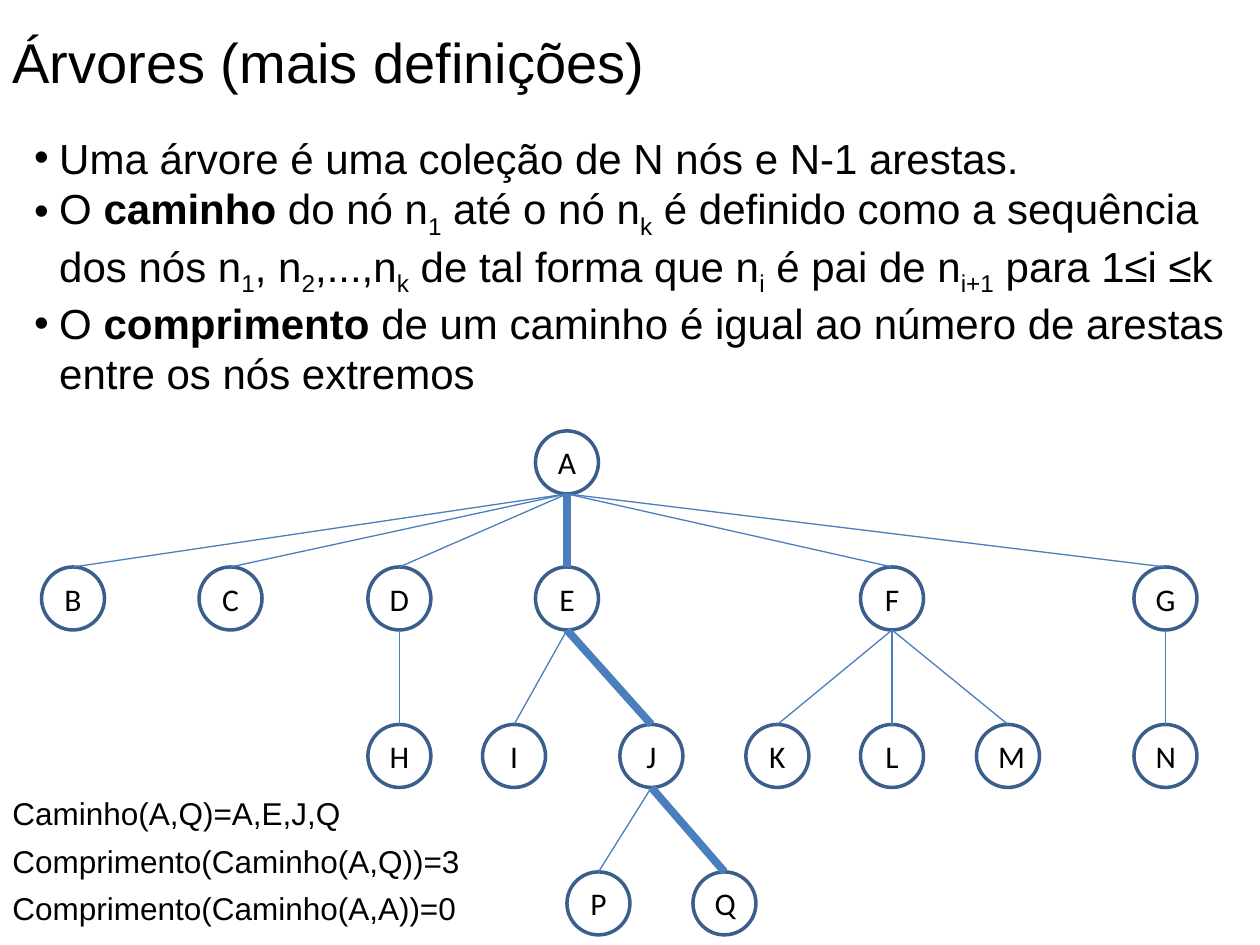
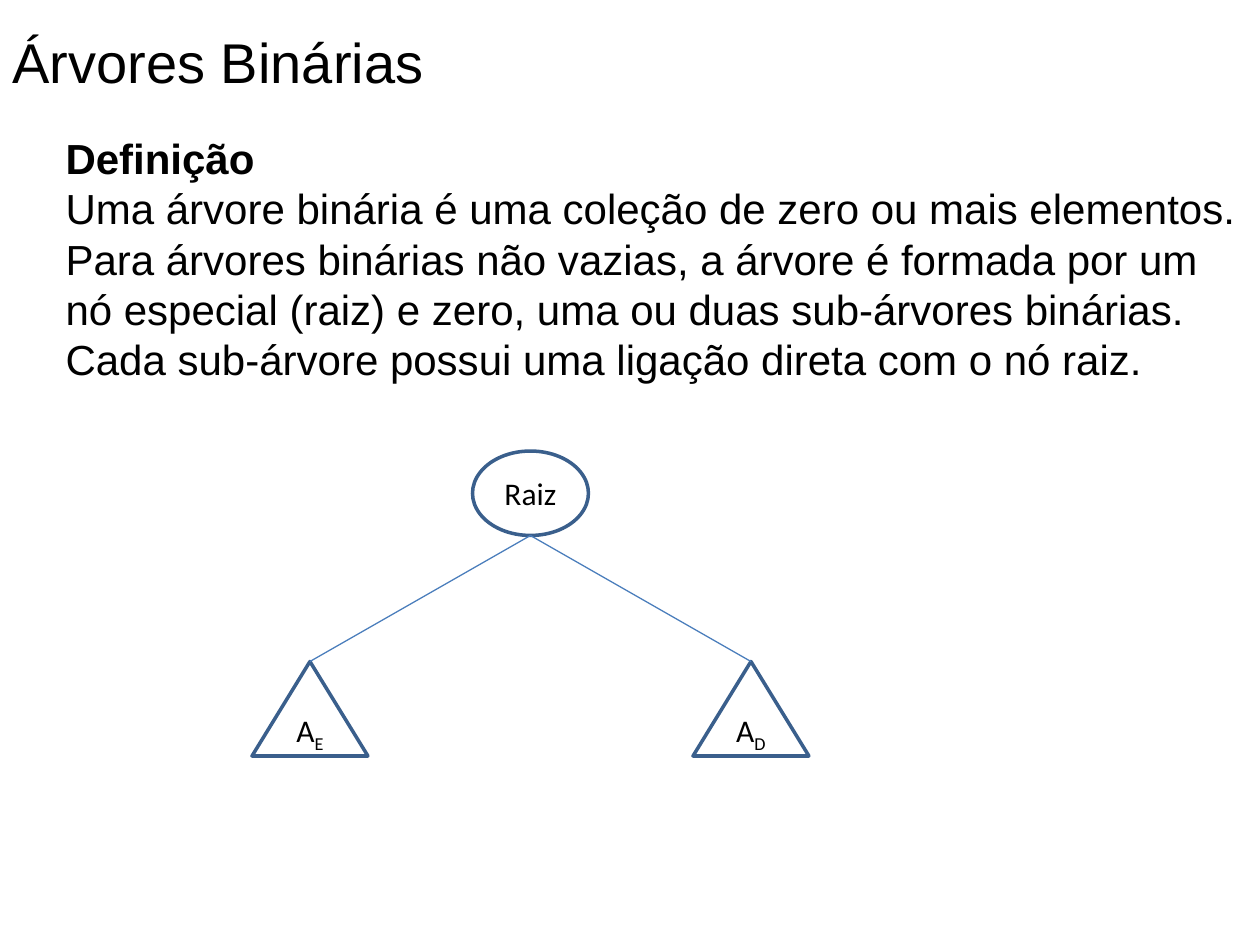
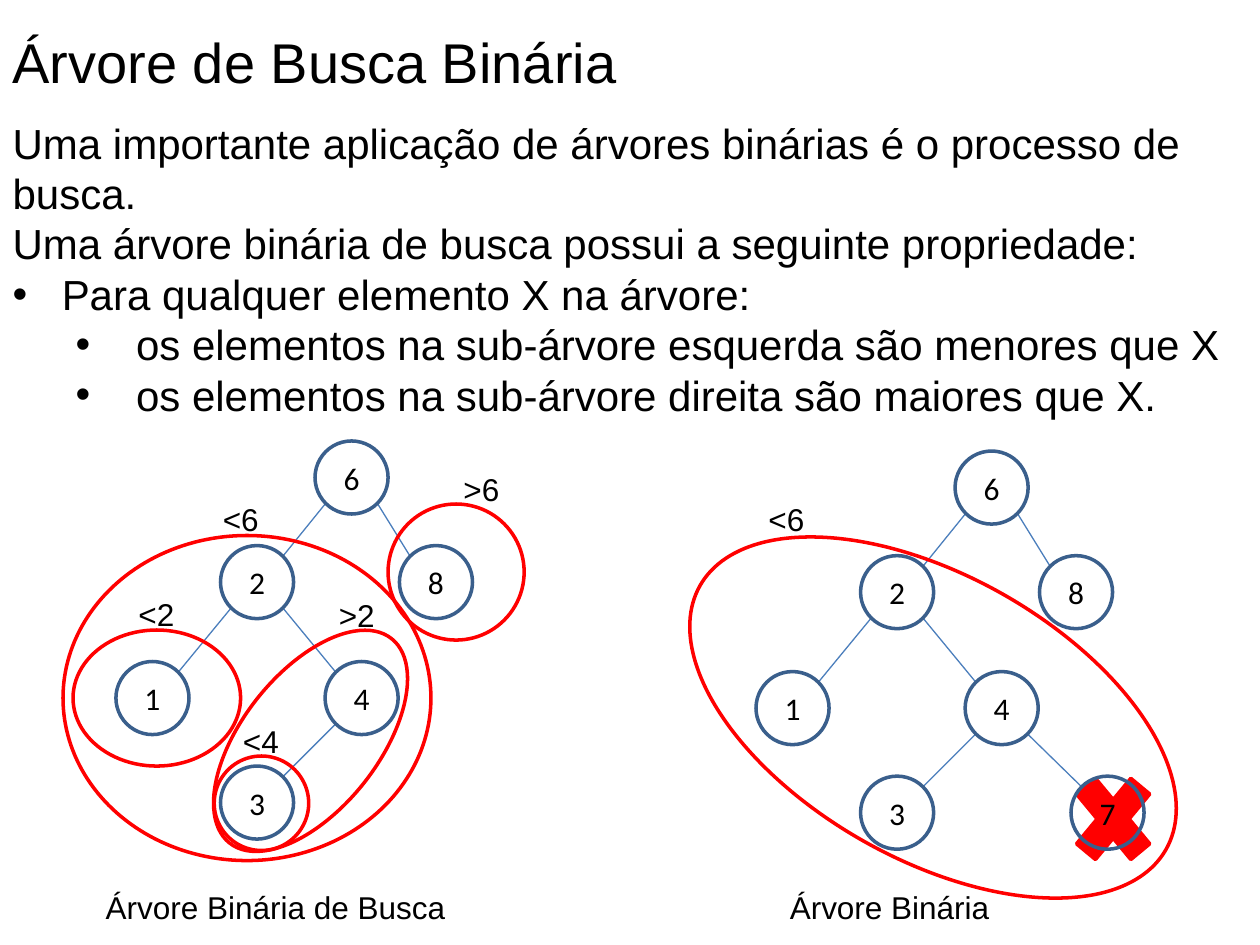
"""Build three slides about trees, binary trees and binary search trees."""
import dataclasses
import math
import typing

import lxml.etree
import pptx
import pptx.dml.color
import pptx.enum.shapes
import pptx.enum.text
import pptx.oxml.ns
import pptx.presentation
import pptx.slide
import pptx.util

Inches = pptx.util.Inches
Pt = pptx.util.Pt
SHAPE = pptx.enum.shapes.MSO_SHAPE
ALIGN = pptx.enum.text.PP_ALIGN
ANCHOR = pptx.enum.text.MSO_ANCHOR
qn = pptx.oxml.ns.qn

COLORS = {"text": "000000", "node": "3A5F8C", "edge": "4B7EBC", "mark": "FF0000"}
THIN, THICK, OUTLINE = 0.75, 4.5, 2


class Run(typing.NamedTuple):
    text: str
    bold: bool = False
    sub: bool = False


class Box(typing.NamedTuple):
    x: float
    y: float
    w: float
    h: float


@dataclasses.dataclass
class Para:
    runs: list[Run]
    bullet: bool = False
    level: int = 0
    margin: float = 0
    hanging: float = 0


@dataclasses.dataclass
class Node:
    runs: list[Run]
    box: Box
    kind: SHAPE = SHAPE.OVAL

    @property
    def top(self) -> tuple[float, float]:
        return self.box.x + self.box.w / 2, self.box.y

    @property
    def bottom(self) -> tuple[float, float]:
        return self.box.x + self.box.w / 2, self.box.y + self.box.h

    def corner(self, side: int, down: int) -> tuple[float, float]:
        reach = math.sqrt(0.5) / 2
        b = self.box
        return b.x + b.w * (0.5 + side * reach), b.y + b.h * (0.5 + down * reach)


class Ring(typing.NamedTuple):
    box: Box
    label: str
    label_x: float
    label_y: float
    rotation: float = 0


def rgb(name: str) -> pptx.dml.color.RGBColor:
    return pptx.dml.color.RGBColor.from_string(COLORS[name])


def plain(text: str) -> list[Run]:
    return [Run(text)]


def add_runs(p, runs: list[Run], size: float, font: str) -> None:
    for run in runs:
        r = p.add_run()
        r.text = run.text
        r.font.size, r.font.name, r.font.bold = Pt(size), font, run.bold
        r.font.color.rgb = rgb("text")
        if run.sub:
            r._r.get_or_add_rPr().set("baseline", "-25000")


def format_paragraph(p, para: Para) -> None:
    p.level, p.alignment = para.level, ALIGN.LEFT
    p.space_before, p.line_spacing = Pt(0), 1.0
    pPr = p._p.get_or_add_pPr()
    pPr.set("marL", str(Inches(para.margin)))
    pPr.set("indent", str(Inches(-para.hanging)))
    if para.bullet:
        lxml.etree.SubElement(pPr, qn("a:buFont")).set("typeface", "Arial")
        lxml.etree.SubElement(pPr, qn("a:buChar")).set("char", "•")
    else:
        lxml.etree.SubElement(pPr, qn("a:buNone"))


def fill_text(sp, box: Box, paras: list[Para], size: float, wrap: bool) -> None:
    sp.left, sp.top, sp.width, sp.height = map(Inches, box)
    tf = sp.text_frame
    tf.word_wrap = wrap
    tf.auto_size = pptx.enum.text.MSO_AUTO_SIZE.NONE
    tf.vertical_anchor = ANCHOR.TOP
    for i, para in enumerate(paras):
        p = tf.add_paragraph() if i else tf.paragraphs[0]
        format_paragraph(p, para)
        add_runs(p, para.runs, size, "Arial")


def add_slide(prs: pptx.presentation.Presentation, title: str, title_width: float,
              body_box: Box, paras: list[Para]) -> pptx.slide.Slide:
    s = prs.slides.add_slide(prs.slide_layouts[1])
    fill_text(s.shapes.title, Box(0, 0.17, title_width, 0.64),
              [Para(plain(title))], 32, False)
    fill_text(s.placeholders[1], body_box, paras, 24, True)
    return s


def add_label(s: pptx.slide.Slide, text: str, x: float, y: float, w: float) -> None:
    box = Box(x, y, w, 0.4)
    fill_text(s.shapes.add_textbox(*map(Inches, box)), box, [Para(plain(text))], 18, False)


def add_outline(s: pptx.slide.Slide, kind: SHAPE, box: Box, color: str):
    sp = s.shapes.add_shape(kind, *map(Inches, box))
    sp.shadow.inherit = False
    sp.fill.background()
    sp.line.color.rgb, sp.line.width = rgb(color), Pt(OUTLINE)
    return sp


def add_node(s: pptx.slide.Slide, node: Node) -> None:
    tf = add_outline(s, node.kind, node.box, "node").text_frame
    tf.vertical_anchor = ANCHOR.MIDDLE
    p = tf.paragraphs[0]
    p.alignment = ALIGN.CENTER
    add_runs(p, node.runs, 18, "Calibri")


def add_edge(s: pptx.slide.Slide, start: tuple[float, float], end: tuple[float, float],
             width: float = THIN) -> None:
    c = s.shapes.add_connector(pptx.enum.shapes.MSO_CONNECTOR.STRAIGHT,
                               *map(Inches, (*start, *end)))
    c.line.color.rgb, c.line.width = rgb("edge"), Pt(width)
    lxml.etree.SubElement(c._element.spPr, qn("a:effectLst"))


def add_ring(s: pptx.slide.Slide, ring: Ring) -> None:
    add_outline(s, SHAPE.OVAL, ring.box, "mark").rotation = ring.rotation
    add_label(s, ring.label, ring.label_x, ring.label_y, 0.49)


def build_definitions(prs: pptx.presentation.Presentation) -> None:
    texts = [
        plain("Uma árvore é uma coleção de N nós e N-1 arestas."),
        [Run("O "), Run("caminho", bold=True), Run(" do nó n"), Run("1", sub=True),
         Run(" até o nó n"), Run("k", sub=True),
         Run(" é definido como a sequência dos nós n"), Run("1", sub=True),
         Run(", n"), Run("2", sub=True), Run(",...,n"), Run("k", sub=True),
         Run(" de tal forma que n"), Run("i", sub=True), Run(" é pai de n"),
         Run("i+1", sub=True), Run(" para 1≤i ≤k")],
        [Run("O "), Run("comprimento", bold=True),
         Run(" de um caminho é igual ao número de arestas entre os nós extremos")],
    ]
    s = add_slide(prs, "Árvores (mais definições)", 5.26, Box(0.17, 1, 9.83, 2.12),
                  [Para(runs, bullet=True, margin=0.2, hanging=0.2) for runs in texts])
    levels = {
        3.42: {"A": 4.25},
        4.5: {"B": 0.33, "C": 1.58, "D": 2.92, "E": 4.25, "F": 6.83, "G": 9},
        5.75: {"H": 2.92, "I": 3.83, "J": 4.92, "K": 5.92, "L": 6.83, "M": 7.75, "N": 9},
        6.92: {"P": 4.5, "Q": 5.5},
    }
    nodes = {name: Node(plain(name), Box(x, y, 0.5, 0.5))
             for y, row in levels.items() for name, x in row.items()}
    children = {"A": "BCDEFG", "D": "H", "E": "IJ", "F": "KLM", "G": "N", "J": "PQ"}
    for node in nodes.values():
        add_node(s, node)
    for parent, names in children.items():
        for name in names:
            add_edge(s, nodes[name].top, nodes[parent].bottom)
    route = "AEJQ"
    for parent, child in zip(route, route[1:]):
        add_edge(s, nodes[child].top, nodes[parent].bottom, THICK)
    facts = [("Caminho(A,Q)=A,E,J,Q", 2.83), ("Comprimento(Caminho(A,Q))=3", 3.78),
             ("Comprimento(Caminho(A,A))=0", 3.73)]
    for i, (text, width) in enumerate(facts):
        add_label(s, text, 0, 6.25 + 0.38 * i, width)


def build_binary(prs: pptx.presentation.Presentation) -> None:
    definition = (
        "Uma árvore binária é uma coleção de zero ou mais elementos. Para árvores "
        "binárias não vazias, a árvore é formada por um nó especial (raiz) e zero, uma "
        "ou duas sub-árvores binárias. Cada sub-árvore possui uma ligação direta com o "
        "nó raiz.")
    s = add_slide(prs, "Árvores Binárias", 3.49, Box(0.42, 1, 9.58, 2.12),
                  [Para([Run("Definição", bold=True)]), Para(plain(definition))])
    root = Node(plain("Raiz"), Box(3.75, 3.58, 0.92, 0.67))
    add_node(s, root)
    for side, x in (("E", 2), ("D", 5.5)):
        subtree = Node([Run("A"), Run(side, sub=True)], Box(x, 5.25, 0.92, 0.75),
                       SHAPE.ISOSCELES_TRIANGLE)
        add_node(s, subtree)
        add_edge(s, subtree.top, root.bottom)


def add_search_tree(s: pptx.slide.Slide, places: dict[str, tuple[float, float]],
                    edges: list[str], dx: float = 0, dy: float = 0) -> None:
    nodes = {name: Node(plain(name), Box(x + dx, y + dy, 0.58, 0.58))
             for name, (x, y) in places.items()}
    for parent, child in edges:
        side = 1 if places[child][0] > places[parent][0] else -1
        add_edge(s, nodes[child].corner(-side, -1), nodes[parent].corner(side, 1))
    for node in nodes.values():
        add_node(s, node)


def build_search(prs: pptx.presentation.Presentation) -> None:
    s = add_slide(prs, "Árvore de Busca Binária", 5.03, Box(0, 0.88, 9.83, 2.52), [
        Para(plain("Uma importante aplicação de árvores binárias é o processo de busca.")),
        Para(plain("Uma árvore binária de busca possui a seguinte propriedade:")),
        Para(plain("Para qualquer elemento X na árvore:"), True, 0, 0.39, 0.39),
        *(Para(plain(f"os elementos na sub-árvore {text} que X{end}"), True, 1, 0.98, 0.48)
          for text, end in (("esquerda são menores", ""), ("direita são maiores", "."))),
    ])
    cross = add_outline(s, SHAPE.MATH_MULTIPLY, Box(8.42, 6, 0.83, 1), "mark")
    cross.fill.solid()
    cross.fill.fore_color.rgb = rgb("mark")
    places = {"6": (2.5, 3.5), "8": (3.17, 4.33), "2": (1.75, 4.33),
              "4": (2.58, 5.25), "3": (1.75, 6.08), "1": (0.92, 5.25)}
    edges = ["68", "62", "24", "43", "21"]
    add_search_tree(s, places, edges)
    add_search_tree(s, {**places, "7": (3.42, 6.08)}, edges + ["47"], 5.08, 0.08)
    add_label(s, "Árvore Binária de Busca", 0.74, 7, 2.92)
    add_label(s, "Árvore Binária", 6.17, 7, 1.8)
    rings = [
        Ring(Box(0.5, 4.25, 2.92, 2.58), "<6", 1.67, 3.92),
        Ring(Box(3.08, 4, 1.08, 1.08), ">6", 3.58, 3.68),
        Ring(Box(0.58, 5, 1.33, 1.08), "<2", 1, 4.67),
        Ring(Box(1.43, 5.34, 2.07, 1.08), ">2", 2.59, 4.68, 308.4),
        Ring(Box(1.7, 6, 0.75, 0.75), "<4", 1.83, 5.68),
        Ring(Box(5.28, 4.57, 4.25, 2.25), "<6", 6, 3.92, 29.5),
    ]
    for ring in rings:
        add_ring(s, ring)


def main() -> None:
    prs = pptx.Presentation()
    prs.slide_width, prs.slide_height = Inches(10), Inches(7.5)
    build_definitions(prs)
    build_binary(prs)
    build_search(prs)
    prs.save("out.pptx")


main()
